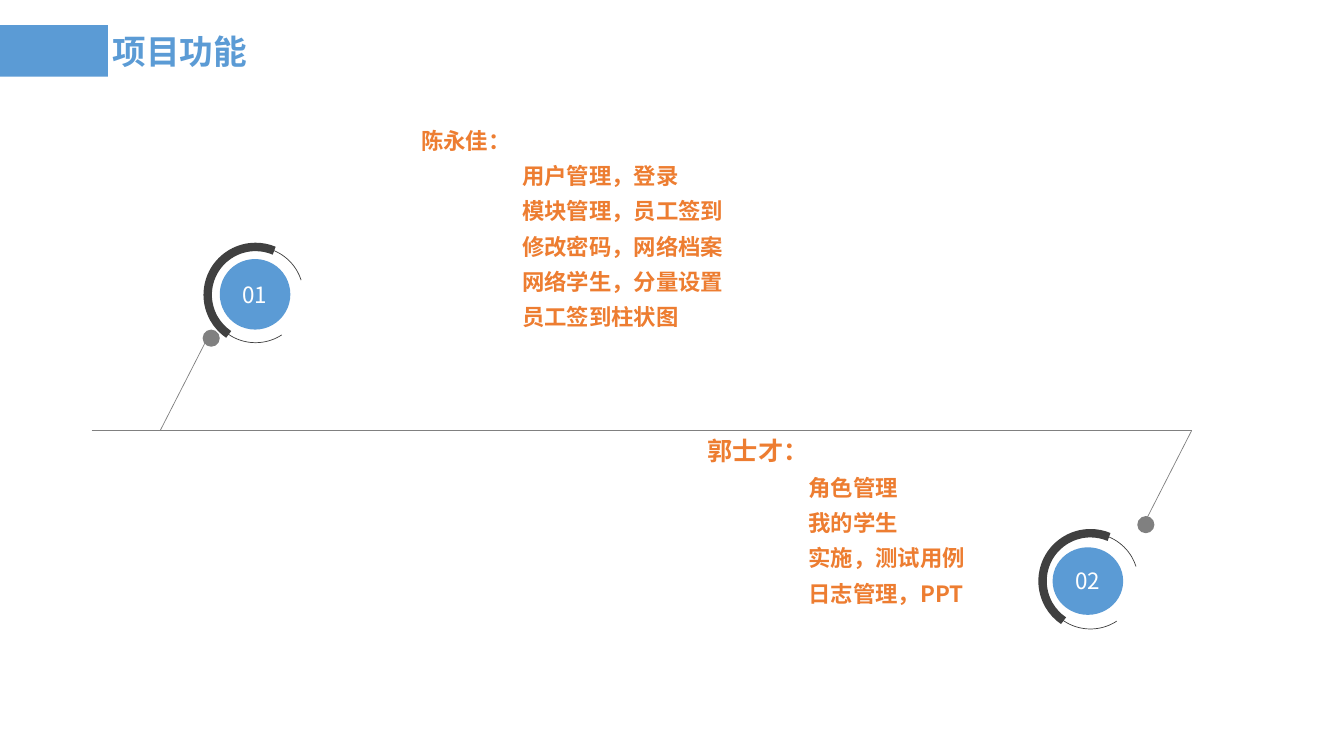
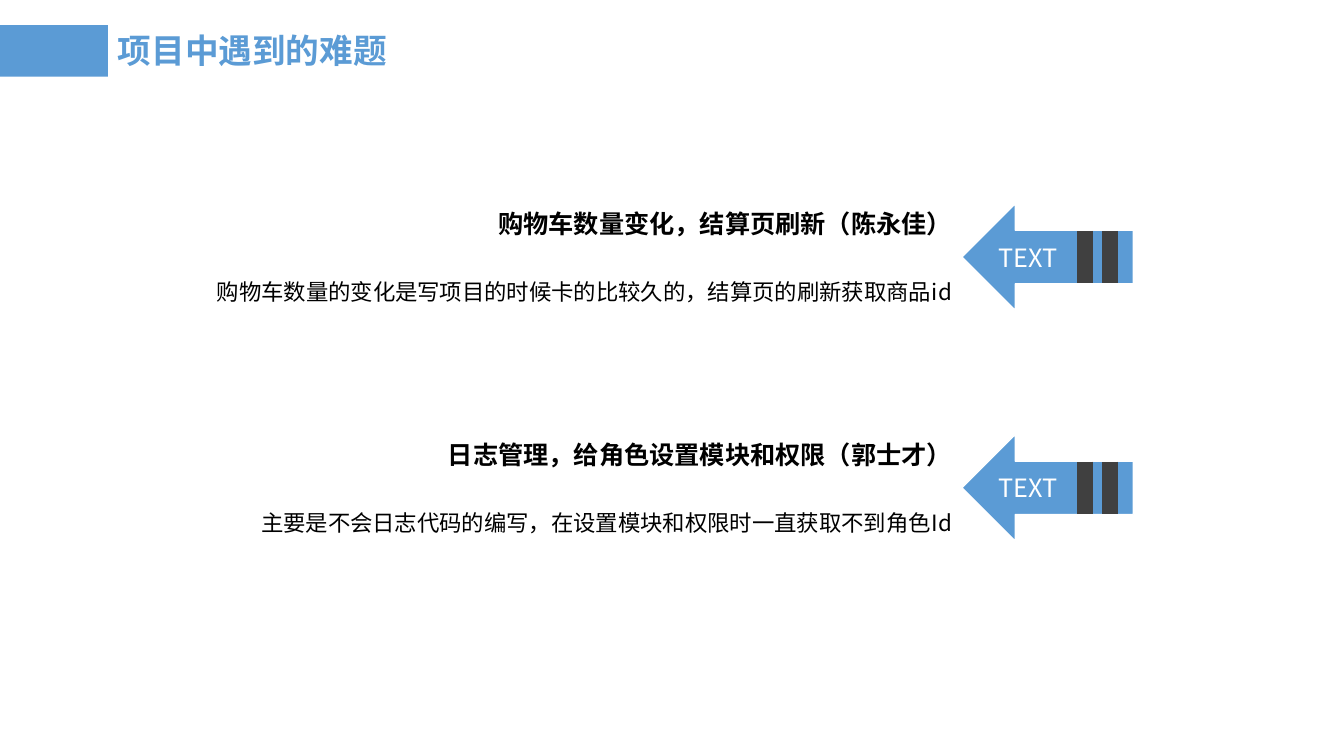
from lxml import etree
from pptx import Presentation
from pptx.dml.color import RGBColor
from pptx.enum.shapes import MSO_CONNECTOR, MSO_SHAPE
from pptx.enum.text import MSO_ANCHOR, MSO_AUTO_SIZE, PP_ALIGN
from pptx.oxml.ns import qn
from pptx.util import Inches, Pt

FONT = "Noto Sans CJK SC"
BLUE = RGBColor(0x5B, 0x9B, 0xD5)
ORANGE = RGBColor(0xED, 0x7D, 0x31)
GRAY = RGBColor(0x80, 0x80, 0x80)
DARK = RGBColor(0x40, 0x40, 0x40)
BLACK = RGBColor(0, 0, 0)
WHITE = RGBColor(0xFF, 0xFF, 0xFF)

RECT = MSO_SHAPE.RECTANGLE
OVAL = MSO_SHAPE.OVAL
ARC = MSO_SHAPE.ARC
LEFT_ARROW = MSO_SHAPE.LEFT_ARROW
STRAIGHT = MSO_CONNECTOR.STRAIGHT
LEFT, CENTER, RIGHT = PP_ALIGN.LEFT, PP_ALIGN.CENTER, PP_ALIGN.RIGHT
MIDDLE = MSO_ANCHOR.MIDDLE
GROW = MSO_AUTO_SIZE.SHAPE_TO_FIT_TEXT

AXIS_Y = 4.27
RING_SIZE = 0.95
DOT_SIZE = 0.17
ARROW_WIDTH, ARROW_HEIGHT = 1.7, 1.06


def add_run(paragraph, text, size, color, bold=False):
    run = paragraph.add_run()
    run.text = text
    run.font.size = Pt(size)
    run.font.name = FONT
    run.font.bold = bold
    run.font.color.rgb = color
    east_asian = etree.SubElement(run.font._element, qn("a:ea"))
    east_asian.set("typeface", FONT)


def add_filled(shapes, kind, left, top, width, height, fill):
    shape = shapes.add_shape(kind, Inches(left), Inches(top), Inches(width), Inches(height))
    shape.shadow.inherit = False
    shape.fill.solid()
    shape.fill.fore_color.rgb = fill
    shape.line.fill.background()
    return shape


def add_line(shapes, start, end, color, weight):
    line = shapes.add_connector(STRAIGHT, *(Inches(value) for value in (*start, *end)))
    line.line.color.rgb = color
    line.line.width = Pt(weight)
    etree.SubElement(line._element.spPr, qn("a:effectLst"))


def add_text_box(slide, left, top, width, height):
    box = slide.shapes.add_textbox(Inches(left), Inches(top), Inches(width), Inches(height))
    box.text_frame.word_wrap = True
    box.text_frame.auto_size = GROW
    return box.text_frame


def add_title(slide, title, left, top):
    """Blue band at the left edge, followed by the slide title."""
    add_filled(slide.shapes, RECT, 0, 0.25, 1.07, 0.51, BLUE)
    frame = add_text_box(slide, left, top, 4.39, 0.5)
    add_run(frame.paragraphs[0], title, 24, BLUE, bold=True)


def add_arc(shapes, left, top, start, end, weight):
    """Clockwise arc between two angles in degrees."""
    arc = shapes.add_shape(ARC, Inches(left), Inches(top), Inches(RING_SIZE), Inches(RING_SIZE))
    arc.shadow.inherit = False
    arc.fill.background()
    arc.line.color.rgb = DARK
    arc.line.width = Pt(weight)
    # Angles are stored in 1/60000 degree, adjustments in 1/100000.
    arc.adjustments[0] = start * 0.6
    arc.adjustments[1] = end * 0.6


def add_marker(slide, number, disc_box, ring_left, ring_top):
    """Numbered disc inside a ring of one thin and one thick arc."""
    disc = add_filled(slide.shapes, OVAL, *disc_box, BLUE)
    frame = disc.text_frame
    frame.word_wrap = False
    frame.vertical_anchor = MIDDLE
    frame.paragraphs[0].alignment = CENTER
    add_run(frame.paragraphs[0], number, 16, WHITE)
    ring = slide.shapes.add_group_shape().shapes
    add_arc(ring, ring_left, ring_top, 56.77, 342.15, 0.5)
    add_arc(ring, ring_left, ring_top, 124.15, 292.86, 6)


def add_leader(slide, start, end, dot_left, dot_top):
    """Slanted line from the axis with a dot at its free end."""
    add_line(slide.shapes, start, end, GRAY, 0.5)
    add_filled(slide.shapes, OVAL, dot_left, dot_top, DOT_SIZE, DOT_SIZE, GRAY)


def add_task_list(slide, left, top, height, member, member_size, tasks):
    frame = add_text_box(slide, left, top, 3.22, height)
    add_run(frame.paragraphs[0], member, member_size, ORANGE, bold=True)
    for task in tasks:
        paragraph = frame.add_paragraph()
        paragraph.space_before = Pt(6)
        properties = paragraph._p.get_or_add_pPr()
        properties.set("marL", str(Inches(1)))
        properties.set("indent", "0")
        add_run(paragraph, task, 16, ORANGE, bold=True)


def add_arrow(slide, top):
    """Left arrow labelled TEXT with two dark stripes on its shaft."""
    shapes = slide.shapes.add_group_shape().shapes
    arrow = add_filled(shapes, LEFT_ARROW, 9.54, top, ARROW_WIDTH, ARROW_HEIGHT, BLUE)
    arrow.line.color.rgb = WHITE
    arrow.line.width = Pt(1)
    arrow.text_frame.vertical_anchor = MIDDLE
    arrow.text_frame.paragraphs[0].alignment = LEFT
    add_run(arrow.text_frame.paragraphs[0], "TEXT", 18, WHITE)
    for x in (11.01, 10.76):
        add_line(shapes, (x, top + 0.27), (x, top + 0.79), DARK, 11)


def add_problem(slide, top, heading, detail):
    add_arrow(slide, top)
    lines = ((heading, 0, 0.4, 18, True), (detail, 0.69, 0.37, 16, False))
    for text, offset, height, size, bold in lines:
        paragraph = add_text_box(slide, 1, top + offset, 8.54, height).paragraphs[0]
        paragraph.alignment = RIGHT
        paragraph.space_after = Pt(6)
        add_run(paragraph, text, size, BLACK, bold)


def build_features(slide):
    add_title(slide, "项目功能", 1.02, 0.26)
    add_line(slide.shapes, (0.91, AXIS_Y), (11.82, AXIS_Y), GRAY, 0.5)

    add_leader(slide, (1.59, AXIS_Y), (2.06, 3.35), 2.01, 3.27)
    add_marker(slide, "01", (2.18, 2.57, 0.7, 0.7), 2.06, 2.45)
    add_task_list(slide, 4.08, 1.21, 2.14, "陈永佳：", 16, (
        "用户管理，登录",
        "模块管理，员工签到",
        "修改密码，网络档案",
        "网络学生，分量设置",
        "员工签到柱状图",
    ))

    add_leader(slide, (11.82, AXIS_Y), (11.35, 5.19), 11.28, 5.12)
    add_marker(slide, "02", (10.44, 5.43, 0.7, 0.67), 10.34, 5.29)
    add_task_list(slide, 6.92, AXIS_Y, 1.82, "郭士才：", 18, (
        "角色管理",
        "我的学生",
        "实施，测试用例",
        "日志管理，PPT",
    ))


def build_problems(slide):
    add_title(slide, "项目中遇到的难题", 1.07, 0.25)
    add_problem(slide, 2.02, "购物车数量变化，结算页刷新（陈永佳）",
                "购物车数量的变化是写项目的时候卡的比较久的，结算页的刷新获取商品id")
    add_problem(slide, 4.31, "日志管理，给角色设置模块和权限（郭士才）",
                "主要是不会日志代码的编写，在设置模块和权限时一直获取不到角色Id")


def main():
    presentation = Presentation()
    presentation.slide_width = Inches(13.33)
    presentation.slide_height = Inches(7.5)
    blank = presentation.slide_layouts[6]
    for build in (build_features, build_problems):
        build(presentation.slides.add_slide(blank))
    presentation.save("out.pptx")


if __name__ == "__main__":
    main()
